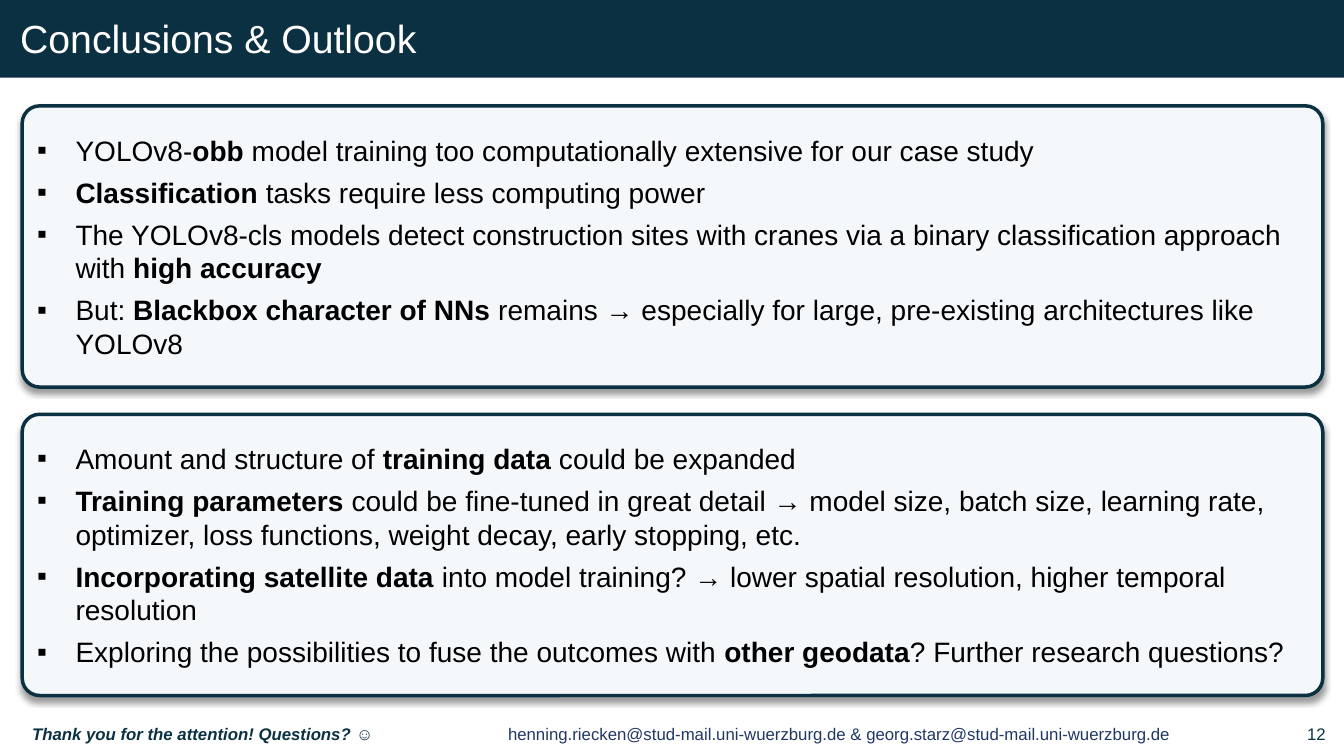
from lxml import etree
from pptx import Presentation
from pptx import util as u
from pptx.dml.color import RGBColor
from pptx.enum import shapes, text
from pptx.oxml import ns

NAVY = RGBColor(0x0B, 0x30, 0x41)
BLUE = RGBColor(0x20, 0x38, 0x64)
PALE = RGBColor(0xF4, 0xF8, 0xFB)
BLACK = RGBColor(0, 0, 0)
WHITE = RGBColor(0xFF, 0xFF, 0xFF)

FINDINGS = [
    "YOLOv8-*obb *model training too computationally extensive for our case study",
    "*Classification *tasks require less computing power",
    "The YOLOv8-cls models detect construction sites with cranes via a binary "
    "classification approach with *high accuracy",
    "But: *Blackbox character of NNs *remains → especially for large, "
    "pre-existing architectures like YOLOv8",
]
OUTLOOK = [
    "Amount and structure of *training data *could be expanded",
    "*Training parameters *could be fine-tuned in great detail → model size, batch size, "
    "learning rate, optimizer, loss functions, weight decay, early stopping, etc.",
    "*Incorporating satellite data *into model training? → lower spatial resolution, "
    "higher temporal resolution",
    "Exploring the possibilities to fuse the outcomes with *other geodata*"
    "? Further research questions?",
]


class Deck:
    font = "Arial"
    indent = u.Inches(0.38)

    def __init__(self):
        self.prs = Presentation()
        self.prs.slide_width = u.Inches(13.33)
        self.prs.slide_height = u.Inches(7.5)
        self.s = self.prs.slides.add_slide(self.prs.slide_layouts[5])

    def area(self, x, y, w, h):
        across, down = self.prs.slide_width / 100, self.prs.slide_height / 100
        return int(x * across), int(y * down), int(w * across), int(h * down)

    def style(self, obj, **values):
        for name, value in values.items():
            setattr(obj, name, value)

    def frame(self, sp, **values):
        self.style(sp.text_frame, word_wrap=True, auto_size=text.MSO_AUTO_SIZE.NONE,
                   vertical_anchor=text.MSO_ANCHOR.MIDDLE, **values)
        return sp.text_frame

    def add_runs(self, p, words, color, size, align=text.PP_ALIGN.LEFT, marked=None, **values):
        p.alignment = align
        for i, part in enumerate(words.split("*")):
            if part:
                r = p.add_run()
                r.text = part
                look = {"name": self.font, "size": u.Pt(size), **values}
                if i % 2:
                    look.update(marked)
                self.style(r.font, **look)
                r.font.color.rgb = color

    def title(self, words, place):
        sp = self.s.shapes.title
        sp.left, sp.top, sp.width, sp.height = self.area(*place)
        sp.fill.solid()
        sp.fill.fore_color.rgb = NAVY
        tf = self.frame(sp, margin_left=u.Inches(0.2))
        self.add_runs(tf.paragraphs[0], words, WHITE, 28)

    def bullet(self, p):
        pPr = p._p.get_or_add_pPr()
        pPr.set("marL", str(self.indent))
        pPr.set("indent", str(-self.indent))
        etree.SubElement(pPr, ns.qn("a:buFont")).set("typeface", self.font)
        etree.SubElement(pPr, ns.qn("a:buChar")).set("char", "▪")
        p.space_after = u.Pt(6)

    def shadow(self, sp):
        sp.shadow.inherit = False
        effects = sp._element.spPr.find(ns.qn("a:effectLst"))
        outer = etree.SubElement(effects, ns.qn("a:outerShdw"), blurRad=str(u.Pt(4)),
                                 dist=str(u.Pt(3)), dir="5400000", algn="t", rotWithShape="0")
        black = etree.SubElement(outer, ns.qn("a:srgbClr"), val=str(BLACK))
        etree.SubElement(black, ns.qn("a:alpha"), val="40000")

    def panel(self, points, place):
        sp = self.s.shapes.add_shape(shapes.MSO_SHAPE.ROUNDED_RECTANGLE, *self.area(*place))
        sp.adjustments[0] = 0.062
        sp.fill.solid()
        sp.fill.fore_color.rgb = PALE
        sp.line.color.rgb = NAVY
        sp.line.width = u.Pt(2.5)
        self.shadow(sp)
        tf = self.frame(sp)
        for i, point in enumerate(points):
            p = tf.add_paragraph() if i else tf.paragraphs[0]
            self.bullet(p)
            self.add_runs(p, point, BLACK, 20, bold=False, marked={"bold": True})

    def footer(self, words, place, color=NAVY, right=0.1, **values):
        sp = self.s.shapes.add_textbox(*self.area(*place))
        tf = self.frame(sp, margin_right=u.Inches(right))
        self.add_runs(tf.paragraphs[0], words, color, 12, **values)


def main():
    deck = Deck()
    deck.title("Conclusions & Outlook", (0, -0.27, 100, 10.53))
    for row, points in enumerate((FINDINGS, OUTLOOK)):
        deck.panel(points, (1.65, 14 + 40.8 * row, 96.77, 37.2))
    deck.footer("Thank you for the attention! Questions? *☺", (1.65, 95.07, 29.33, 4),
                bold=True, italic=True, marked={"italic": False})
    deck.footer("henning.riecken@stud-mail.uni-wuerzburg.de & georg.starz@stud-mail.uni-wuerzburg.de",
                (36.16, 94.4, 52.59, 5.33), BLUE, align=text.PP_ALIGN.CENTER)
    deck.footer("12", (86.27, 94.4, 13.73, 5.33), right=0.18, align=text.PP_ALIGN.RIGHT)
    deck.prs.save("out.pptx")


if __name__ == "__main__":
    main()
